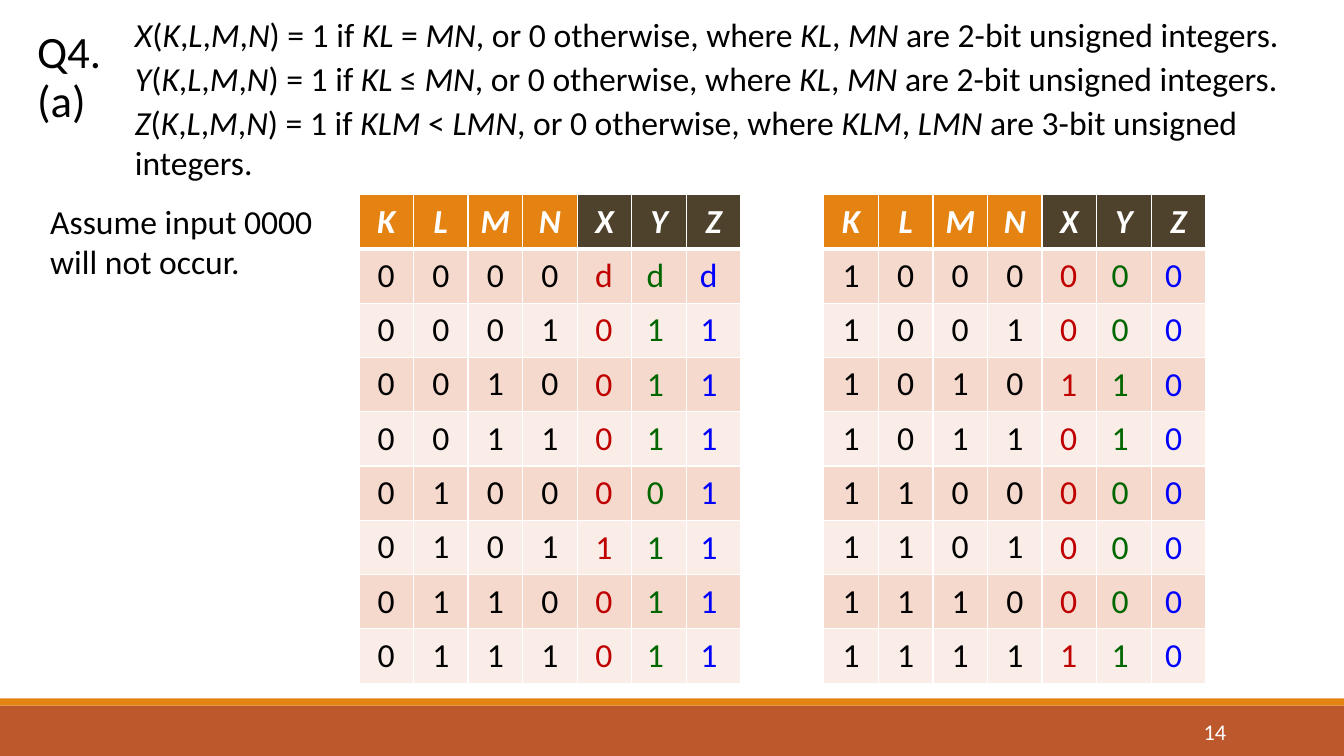
from lxml.etree import SubElement
from pptx import Presentation
from pptx.dml.color import RGBColor
from pptx.enum.shapes import MSO_SHAPE
from pptx.enum.text import MSO_ANCHOR, PP_ALIGN
from pptx.oxml.ns import qn
from pptx.util import Inches, Pt


def color(value):
    return RGBColor.from_string(value)


def write(frame, text, size=24, ink="000000", bold=False, align=PP_ALIGN.LEFT,
          anchor=MSO_ANCHOR.TOP, after=0, spacing=1.0):
    """Each line is a paragraph; asterisks enclose italic words."""
    frame.word_wrap = True
    frame.vertical_anchor = anchor
    for index, line in enumerate(text.split("\n")):
        paragraph = frame.add_paragraph() if index else frame.paragraphs[0]
        paragraph.alignment = align
        paragraph.space_after = Pt(after)
        paragraph.line_spacing = spacing
        for position, part in enumerate(line.split("*")):
            if part:
                run = paragraph.add_run()
                run.text = part
                run.font.name = "Calibri"
                run.font.size = Pt(size)
                run.font.bold = bold
                run.font.italic = position % 2 == 1
                run.font.color.rgb = color(ink)


presentation = Presentation()
presentation.slide_width = Inches(13.33)
presentation.slide_height = Inches(7.5)
slide = presentation.slides.add_slide(presentation.slide_layouts[6])

# Footer bands
for top, height, fill in [(7, 0.5, "BD582C"), (6.93, 0.07, "E48312")]:
    band = slide.shapes.add_shape(MSO_SHAPE.RECTANGLE, 0, Inches(top),
                                  presentation.slide_width, Inches(height))
    band.shadow.inherit = False
    band.fill.solid()
    band.fill.fore_color.rgb = color(fill)
    band.line.fill.background()

# Title, function definitions, assumption and slide number
definition = ("*{0}*(*K*,*L*,*M*,*N*) = 1 if *{1}* {2} *{3}*, or 0 otherwise, "
              "where *{1}*, *{3}* are {4}-bit unsigned integers.")
texts = [
    (0.27, 0.25, 0.97, 1.17, "Q4. (a)", {"size": 32, "spacing": 0.9}),
    (1.24, 0.09, 11.57, 0.5, definition.format("X", "KL", "=", "MN", 2), {}),
    (1.24, 0.53, 11.57, 0.5, definition.format("Y", "KL", "≤", "MN", 2), {}),
    (1.24, 0.96, 11.57, 0.91, definition.format("Z", "KLM", "<", "LMN", 3), {}),
    (0.4, 1.94, 2.97, 0.91, "Assume input 0000 will not occur.", {}),
    (10.83, 7.06, 1.43, 0.4, "14", {"size": 16, "ink": "FFFFFF", "align": PP_ALIGN.RIGHT,
                                    "anchor": MSO_ANCHOR.MIDDLE}),
]

# Output columns: offset from the table's left edge, colour, values of each half
outputs = [
    (2.09, "C00000", ["d0000100", "00100001"]),
    (2.6, "006600", ["d1110111", "00110001"]),
    (3.13, "0000FF", ["d1111111", "00000000"]),
]

# Truth tables, one for K = 0 and one for K = 1
for half, table_left in enumerate([3.56, 8.17]):
    table = slide.shapes.add_table(9, 7, Inches(table_left), Inches(1.93),
                                   Inches(3.79), Inches(4.85)).table
    for row in range(9):
        labels = "KLMNXYZ" if row == 0 else f"{half * 8 + row - 1:04b}"
        for column in range(7):
            cell = table.cell(row, column)
            if row == 0:
                fill = "E48312" if column < 4 else "4E422C"
            else:
                fill = "F5D9CC" if row % 2 else "FAEDE7"

            # White cell borders, thicker around the header's lower edge
            properties = cell._tc.get_or_add_tcPr()
            for side in ["lnL", "lnR", "lnT", "lnB"]:
                thick = (row, side) in [(0, "lnB"), (1, "lnT")]
                border = SubElement(properties, qn(f"a:{side}"), w=str(Pt(3 if thick else 1)))
                SubElement(SubElement(border, qn("a:solidFill")), qn("a:srgbClr"), val="FFFFFF")
            cell.fill.solid()
            cell.fill.fore_color.rgb = color(fill)

            if column < len(labels):
                label = labels[column]
                write(cell.text_frame, f"*{label}*" if row == 0 else label, bold=row == 0,
                      ink="FFFFFF" if row == 0 else "000000", align=PP_ALIGN.CENTER)
                cell.vertical_anchor = MSO_ANCHOR.MIDDLE

    for offset, ink, halves in outputs:
        texts.append((table_left + offset, 2.47, 0.68, 4.31, "\n".join(halves[half]),
                      {"ink": ink, "align": PP_ALIGN.CENTER, "after": 10}))

# Text boxes, above the tables
for left, top, width, height, text, style in texts:
    box = slide.shapes.add_textbox(Inches(left), Inches(top), Inches(width), Inches(height))
    write(box.text_frame, text, **style)

presentation.save("out.pptx")
